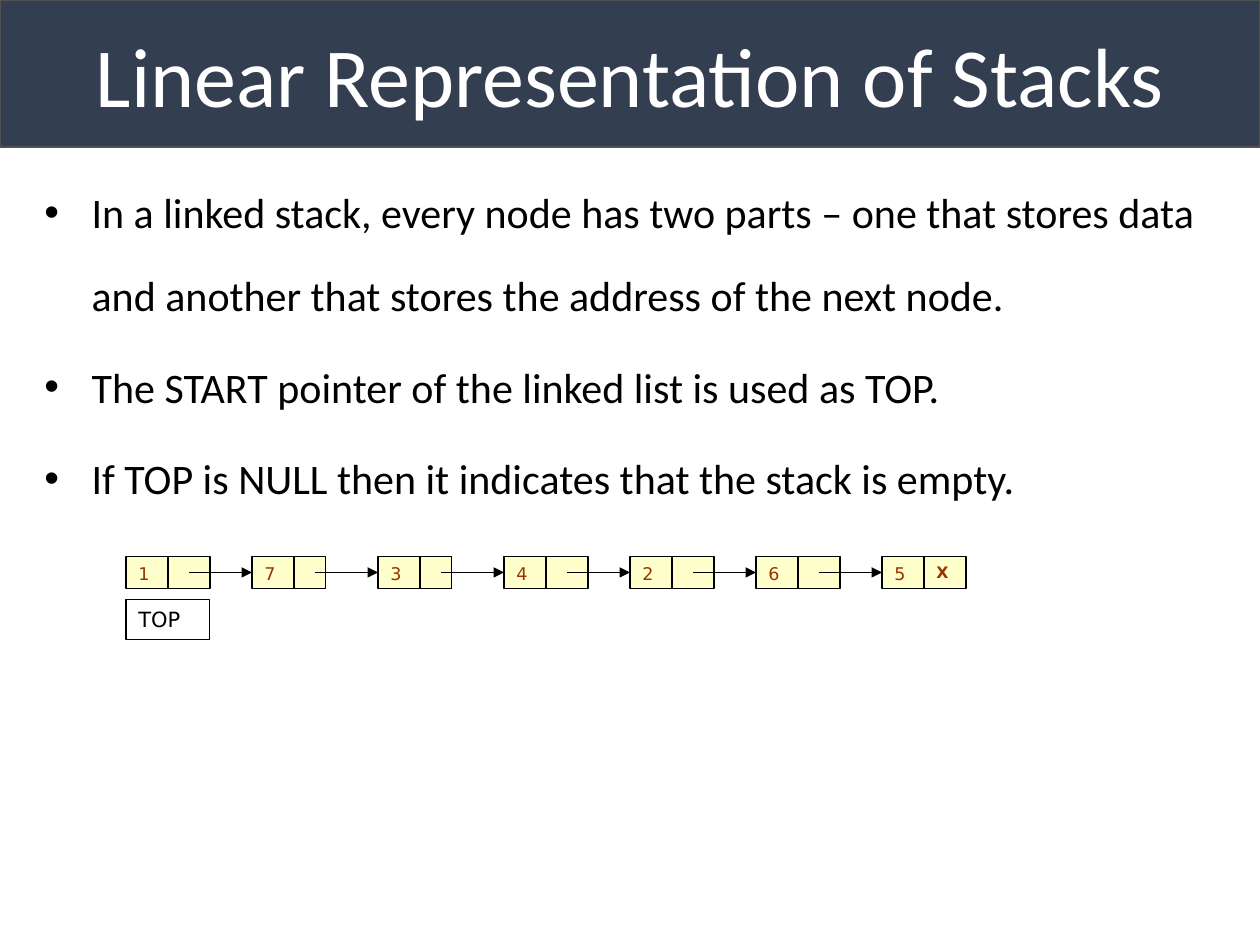
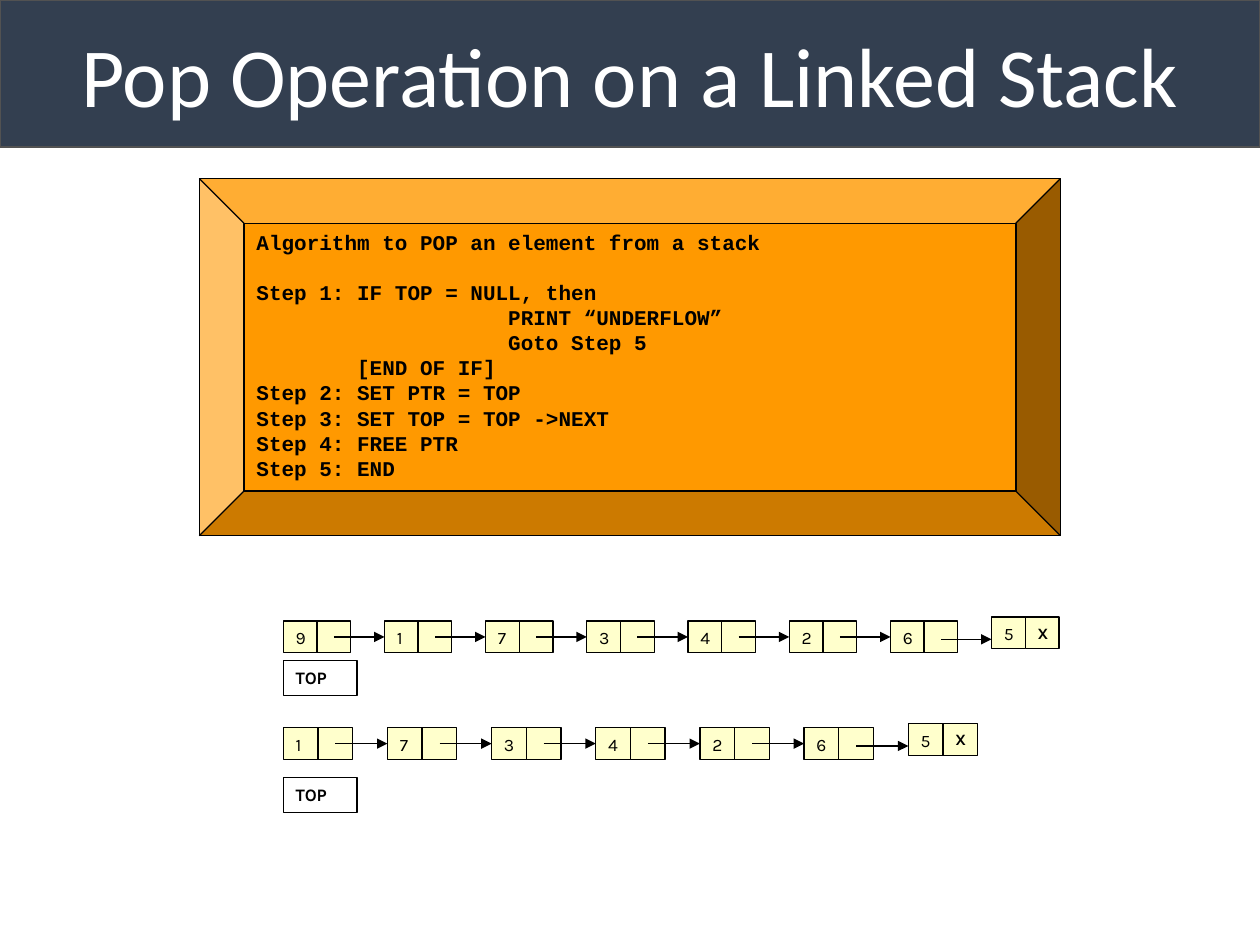
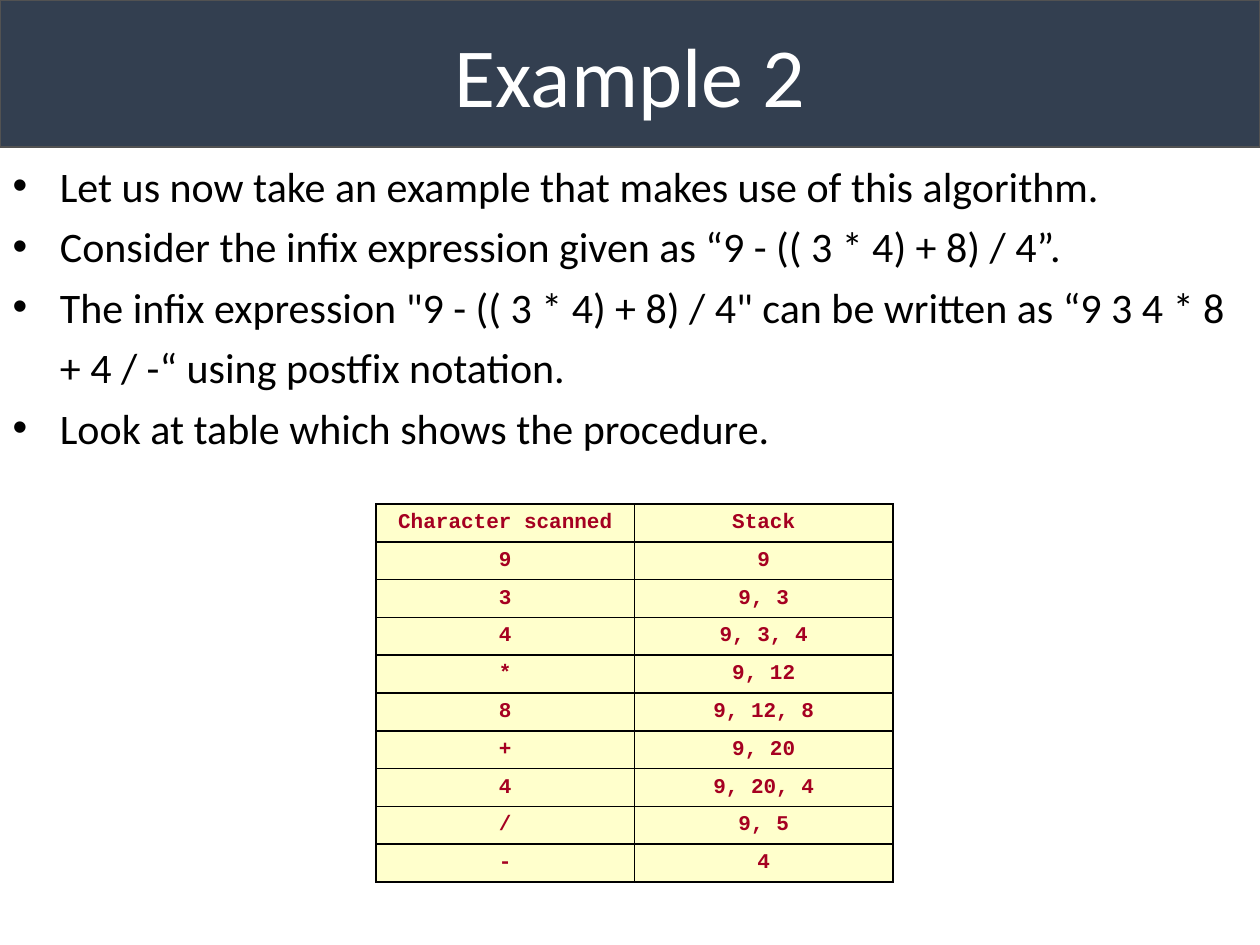
from lxml import etree
from pptx import Presentation
from pptx.dml.color import RGBColor
from pptx.enum.shapes import MSO_CONNECTOR, MSO_SHAPE
from pptx.enum.text import MSO_ANCHOR, MSO_AUTO_SIZE, PP_ALIGN
from pptx.oxml.ns import qn
from pptx.util import Cm, Pt

RECT, BEVEL = MSO_SHAPE.RECTANGLE, MSO_SHAPE.BEVEL
STRAIGHT = MSO_CONNECTOR.STRAIGHT
TOP, MIDDLE = MSO_ANCHOR.TOP, MSO_ANCHOR.MIDDLE
LEFT, CENTER = PP_ALIGN.LEFT, PP_ALIGN.CENTER
NO_FIT = MSO_AUTO_SIZE.NONE

NAVY, BAND_EDGE = "333F50", "525252"
BLACK, WHITE = "000000", "FFFFFF"
CREAM, ORANGE = "FFFFCC", "FF9900"
BROWN, CRIMSON = "993300", "A50021"

TITLE_AND_CONTENT, TITLE_ONLY = 1, 5


def rgb(value):
    return RGBColor.from_string(value)


class Deck:
    body_font = "Calibri"
    code_font = "Courier New"

    def __init__(self):
        self.prs = Presentation()
        self.prs.slide_width, self.prs.slide_height = Cm(25.4), Cm(19.05)
        self.s = None

    def place(self, sp, left, top, width, height):
        sp.left, sp.top = Cm(left), Cm(top)
        sp.width, sp.height = Cm(width), Cm(height)

    def paint(self, sp, fill, line, weight):
        if fill:
            sp.fill.solid()
            sp.fill.fore_color.rgb = rgb(fill)
        else:
            sp.fill.background()
        sp.line.color.rgb = rgb(line)
        sp.line.width = Pt(weight)

    def text(self, p, text, size, font, color, bold=False, align=LEFT):
        p.alignment = align
        r = p.add_run()
        r.text = text
        r.font.size, r.font.name, r.font.bold = Pt(size), font, bold
        r.font.color.rgb = rgb(color)

    def lines(self, tf, texts, size, font, color, bold=False):
        for i, text in enumerate(texts):
            p = tf.add_paragraph() if i else tf.paragraphs[0]
            self.text(p, text, size, font, color, bold)

    def slide(self, layout, title):
        self.s = self.prs.slides.add_slide(self.prs.slide_layouts[layout])
        sp = self.s.shapes.title
        self.place(sp, 0, 0, 25.4, 2.97)
        self.paint(sp, NAVY, BAND_EDGE, 1)
        tf = sp.text_frame
        tf.auto_size, tf.vertical_anchor = NO_FIT, MIDDLE
        self.text(tf.paragraphs[0], title, 48, self.body_font, WHITE, align=CENTER)

    def bullets(self, box, texts, spacing, before, anchor):
        sp = self.s.placeholders[1]
        self.place(sp, *box)
        tf = sp.text_frame
        tf.auto_size, tf.vertical_anchor = NO_FIT, anchor
        self.lines(tf, texts, 24, self.body_font, BLACK)
        for i, p in enumerate(tf.paragraphs):
            p.line_spacing = spacing
            p.space_before = Pt(before if i else 0)

    def shape(self, kind, box, fill, anchor=TOP):
        sp = self.s.shapes.add_shape(kind, *map(Cm, box))
        sp.shadow.inherit = False
        self.paint(sp, fill, BLACK, 0.75)
        sp.text_frame.vertical_anchor = anchor
        return sp.text_frame

    def label(self, box, text, size, font, color, bold=False, fill=CREAM, anchor=TOP):
        tf = self.shape(RECT, box, fill, anchor)
        self.text(tf.paragraphs[0], text, size, font, color, bold)

    def arrow(self, x1, x2, y):
        link = self.s.shapes.add_connector(STRAIGHT, Cm(x1), Cm(y), Cm(x2), Cm(y))
        link.line.color.rgb = rgb(BLACK)
        link.line.width = Pt(0.75)
        sp_pr = link.element.spPr
        etree.SubElement(sp_pr.get_or_add_ln(), qn("a:tailEnd"), type="triangle")
        etree.SubElement(sp_pr, qn("a:effectLst"))

    def linked_list(self, left, top, pitch, values, font, color, lift=0, narrow=()):
        cell, height = pitch / 3, 0.64
        last = len(values) - 1
        for i, value in enumerate(values):
            x = left + i * pitch
            y = top - (lift if i == last else 0)
            self.label((x, y, cell, height), value, 10, font, color)
            pointer = (x + cell, y, cell * (0.75 if i in narrow else 1), height)
            if i == last:
                self.label(pointer, "X", 9, font, color, True)
            else:
                self.shape(RECT, pointer, CREAM)
                drop = 0.6 * lift if i == last - 1 else 0
                self.arrow(x + pitch / 2, x + pitch, y + height / 2 + drop)

    def code(self, box, heading, steps):
        tf = self.shape(BEVEL, box, ORANGE)
        self.lines(tf, [heading] + steps, 12, self.code_font, BLACK, True)
        tf.paragraphs[1].space_before = Pt(14)

    def borders(self, cell):
        tc_pr = cell._tc.get_or_add_tcPr()
        for side in ("lnL", "lnR", "lnT", "lnB"):
            ln = etree.SubElement(tc_pr, qn("a:" + side), w=str(Pt(1)))
            fill = etree.SubElement(ln, qn("a:solidFill"))
            etree.SubElement(fill, qn("a:srgbClr"), val=BLACK)

    def table(self, box, rows):
        table = self.s.shapes.add_table(len(rows), len(rows[0]), *map(Cm, box)).table
        for i, row in enumerate(rows):
            for j, text in enumerate(row):
                cell = table.cell(i, j)
                self.borders(cell)
                cell.fill.solid()
                cell.fill.fore_color.rgb = rgb(CREAM)
                cell.vertical_anchor = MIDDLE
                self.text(cell.text_frame.paragraphs[0], text, 12, self.code_font,
                          CRIMSON, True, CENTER)


def linear_representation(deck):
    deck.slide(TITLE_AND_CONTENT, "Linear Representation of Stacks")
    deck.bullets((0.64, 2.97, 24.13, 8.46), [
        "In a linked stack, every node has two parts – one that stores data "
        "and another that stores the address of the next node.",
        "The START pointer of the linked list is used as TOP.",
        "If TOP is NULL then it indicates that the stack is empty.",
    ], 1.65, 4.8, TOP)
    font = "DejaVu Sans"
    deck.linked_list(2.54, 11.22, 2.54, "1734265", font, BROWN, narrow=(1, 2))
    deck.label((2.54, 12.09, 1.69, 0.8), "TOP", 12, font, BLACK, fill=WHITE, anchor=MIDDLE)


def pop_operation(deck):
    deck.slide(TITLE_ONLY, "Pop Operation on a Linked Stack")
    deck.code((4.02, 3.6, 17.36, 7.2), "Algorithm to POP an element from a stack", [
        "Step 1: IF TOP = NULL, then",
        "                    PRINT “UNDERFLOW”",
        "                    Goto Step 5",
        "        [END OF IF]",
        "Step 2: SET PTR = TOP",
        "Step 3: SET TOP = TOP ->NEXT",
        "Step 4: FREE PTR",
        "Step 5: END",
    ])
    font, left = "Karla", 5.71
    for values, top, pitch, top_label in (
        ("91734265", 12.52, 2.04, 13.31),
        ("1734265", 14.67, 2.1, 15.67),
    ):
        deck.linked_list(left, top, pitch, values, font, BLACK, lift=0.08)
        deck.label((left, top_label, 1.49, 0.71), "TOP", 10, font, BLACK, True,
                   fill=None, anchor=MIDDLE)


def postfix_example(deck):
    deck.slide(TITLE_AND_CONTENT, "Example 2")
    deck.bullets((0, 2.9, 24.97, 6.35), [
        "Let us now take an example that makes use of this algorithm.",
        "Consider the infix expression given as “9 - (( 3 * 4) + 8) / 4”.",
        "The infix expression \"9 - (( 3 * 4) + 8) / 4\" can be written as "
        "“9 3 4 * 8 + 4 / -“ using postfix notation.",
        "Look at table which shows the procedure.",
    ], 1.2, 0, MIDDLE)
    deck.table((7.58, 10.16, 10.42, 7.62), [
        ("Character scanned", "Stack"),
        ("9", "9"),
        ("3", "9, 3"),
        ("4", "9, 3, 4"),
        ("*", "9, 12"),
        ("8", "9, 12, 8"),
        ("+", "9, 20"),
        ("4", "9, 20, 4"),
        ("/", "9, 5"),
        ("-", "4"),
    ])


def main():
    deck = Deck()
    linear_representation(deck)
    pop_operation(deck)
    postfix_example(deck)
    deck.prs.save("out.pptx")


if __name__ == "__main__":
    main()
